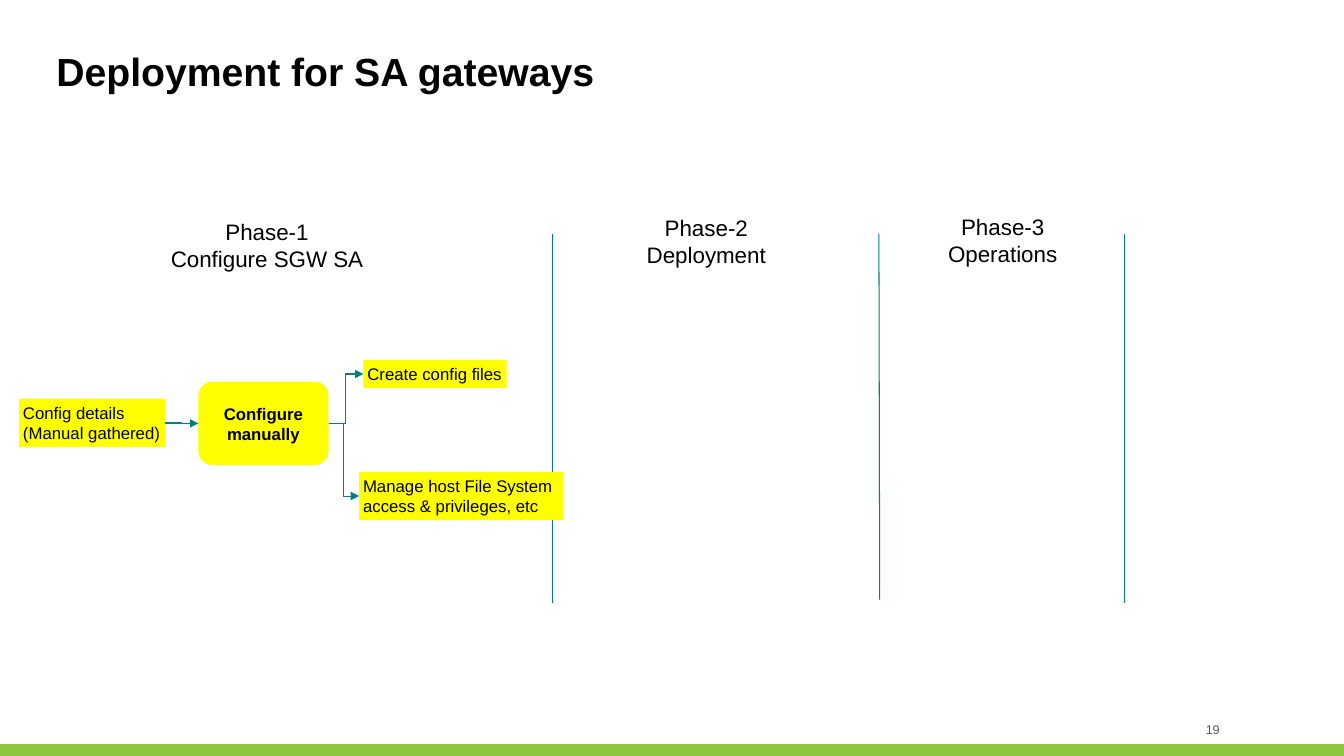
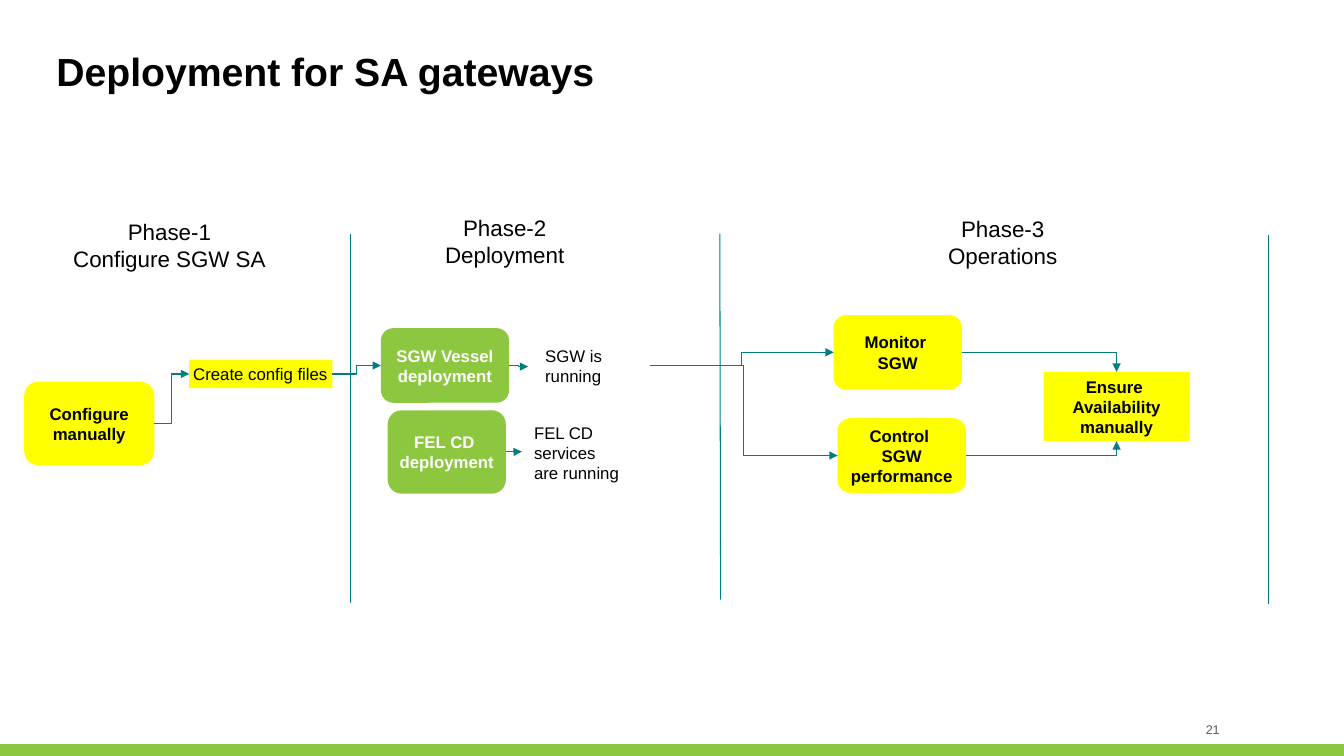
from lxml import etree
from pptx import Presentation
from pptx import util as u
from pptx.dml.color import RGBColor
from pptx.enum import shapes, text
from pptx.oxml import ns

# Shared look
COLORS = {"black": "000000", "white": "FFFFFF", "grey": "595959",
          "yellow": "FFFF00", "green": "8DC63F", "teal": "007E80"}
FONT = "Arial"
WIDTH, HEIGHT, BAND = 33.87, 19.05, 0.3
TITLE = "Deployment for SA gateways"
PHASES = ["Phase-1\nConfigure SGW SA", "Phase-2\nDeployment", "Phase-3\nOperations"]
RECT, ROUND = shapes.MSO_SHAPE.RECTANGLE, shapes.MSO_SHAPE.ROUNDED_RECTANGLE
TOP, LEFT, BOTTOM, RIGHT = range(4)

# Box kinds: outline, fill, text format
STEP_TEXT = dict(bold=True, align="CENTER", anchor="MIDDLE")
KINDS = {
    "step": (ROUND, "yellow", STEP_TEXT),
    "deploy": (ROUND, "green", dict(STEP_TEXT, color="white")),
    "result": (RECT, "yellow", STEP_TEXT),
    "note": (RECT, "yellow", dict(wrap=False)),
    "status": (RECT, None, {}),
}

# Content, lengths in cm
# phases: centre, top; dividers: top x, top y, bottom x, bottom y
# boxes: kind, text, left, top, width, height
# links: (box, side) to (box, side) or to a point
SLIDES = [
    {
        "number": "19",
        "phases": [(6.73, 5.4), (17.8, 5.3), (25.27, 5.28)],
        "dividers": [(13.92, 5.89, 13.92, 15.19), (22.15, 5.89, 22.17, 15.11),
                     (28.35, 5.89, 28.35, 15.19)],
        "boxes": {
            "configure": ("step", "Configure\nmanually", 5, 9.62, 3.28, 2.1),
            "files": ("note", "Create config files", 9.16, 9.07, 3.61, 0.71),
            "details": ("note", "Config details\n(Manual gathered)", 0.48, 10.05, 3.68, 1.22),
            "host": ("note", "Manage host File System\naccess & privileges, etc",
                     9.05, 11.89, 5.14, 1.22),
        },
        "links": [
            (("details", RIGHT), ("configure", LEFT)),
            (("configure", RIGHT), ("files", LEFT)),
            (("configure", RIGHT), ("host", LEFT)),
        ],
    },
    {
        "number": "21",
        "phases": [(4.27, 5.4), (12.72, 5.3), (25.27, 5.33)],
        "dividers": [(8.84, 5.89, 8.84, 15.19), (18.14, 5.89, 18.16, 15.11),
                     (31.97, 5.93, 31.97, 15.23)],
        "boxes": {
            "configure": ("step", "Configure\nmanually", 0.61, 9.62, 3.28, 2.1),
            "files": ("note", "Create config files", 4.77, 9.07, 3.61, 0.71),
            "gateway": ("deploy", "SGW Vessel\ndeployment", 9.6, 8.27, 3.23, 1.88),
            "delivery": ("deploy", "FEL CD \ndeployment", 9.77, 10.34, 2.98, 2.1),
            "running": ("status", "SGW is running", 13.64, 8.6, 2.73, 1.22),
            "services": ("status", "FEL CD services\nare running", 13.36, 10.55, 3.28, 1.22),
            "monitor": ("step", "Monitor \nSGW", 21.01, 7.94, 3.23, 1.88),
            "control": ("step", "Control \nSGW performance", 21.11, 10.54, 3.23, 1.88),
            "ensure": ("result", "Ensure \nAvailability\nmanually", 26.3, 9.37, 3.68, 1.75),
        },
        "links": [
            (("configure", RIGHT), ("files", LEFT)),
            (("files", RIGHT), ("gateway", LEFT)),
            (("gateway", RIGHT), (13.31, 9.24)),
            (("delivery", RIGHT), (13.15, 11.38)),
            (("running", RIGHT), ("monitor", LEFT)),
            (("running", RIGHT), ("control", LEFT)),
            (("monitor", RIGHT), ("ensure", TOP)),
            (("control", RIGHT), ("ensure", BOTTOM)),
        ],
    },
]


def rgb(name):
    return RGBColor.from_string(COLORS[name])


def write(box, words, *, size=12, color="black", bold=False, align="LEFT",
          anchor="TOP", inset=0.1, wrap=True, spacing=None):
    """Fill a shape with one paragraph per line of words."""
    frame = box.text_frame
    frame.word_wrap = wrap
    frame.auto_size = text.MSO_AUTO_SIZE.NONE
    frame.vertical_anchor = text.MSO_ANCHOR[anchor]
    frame.margin_left = frame.margin_right = u.Cm(inset)
    frame.margin_top = frame.margin_bottom = u.Cm(inset)
    for index, line in enumerate(words.split("\n")):
        para = frame.paragraphs[0] if index == 0 else frame.add_paragraph()
        para.alignment = text.PP_ALIGN[align]
        para.line_spacing = spacing
        span = para.add_run()
        span.text = line
        span.font.name, span.font.size = FONT, u.Pt(size)
        span.font.bold, span.font.color.rgb = bold, rgb(color)


def add_box(page, outline, fill, *place):
    box = page.shapes.add_shape(outline, *map(u.Cm, place))
    box.shadow.inherit = False
    box.line.fill.background()
    box.fill.solid()
    box.fill.fore_color.rgb = rgb(fill)
    return box


def add_text(page, words, *place, **style):
    write(page.shapes.add_textbox(*map(u.Cm, place)), words, **style)


def add_line(page, kind, *ends):
    line = page.shapes.add_connector(kind, *map(u.Cm, ends))
    line.line.color.rgb = rgb("teal")
    line.line.width = u.Pt(0.75)
    etree.SubElement(line._element.spPr, ns.qn("a:effectLst"))
    return line


def add_link(page, boxes, start, end):
    """Join two boxes, or a box and a point, with an elbow arrow."""
    glued = end[0] in boxes
    link = add_line(page, shapes.MSO_CONNECTOR.ELBOW, 0, 0, *((0, 0) if glued else end))
    link.begin_connect(boxes[start[0]], start[1])
    if glued:
        link.end_connect(boxes[end[0]], end[1])
    properties = link._element.spPr
    if glued and end[1] in (TOP, BOTTOM):  # a single bend
        properties.find(ns.qn("a:prstGeom")).set("prst", "bentConnector2")
    etree.SubElement(properties.find(ns.qn("a:ln")), ns.qn("a:tailEnd"), type="triangle")


def start_page(deck, number):
    """Add a slide with the band, title and number that all slides share."""
    page = deck.slides.add_slide(deck.slide_layouts[5])
    add_box(page, RECT, "green", 0, HEIGHT - BAND, WIDTH, BAND)
    title = page.shapes.title
    title.left, title.top, title.width, title.height = map(u.Cm, (1.42, 1.42, 30.96, 2.9))
    write(title, TITLE, size=28, bold=True, inset=0, spacing=0.8)
    add_text(page, number, 29.01, 18.12, 1.73, 0.51, size=9, color="grey",
             align="RIGHT", anchor="MIDDLE", inset=0)
    return page


def build(deck, content):
    page = start_page(deck, content["number"])
    for ends in content["dividers"]:
        add_line(page, shapes.MSO_CONNECTOR.STRAIGHT, *ends)
    phase_width = 5.24
    for words, (centre, top) in zip(PHASES, content["phases"]):
        add_text(page, words, centre - phase_width / 2, top, phase_width, 1.57,
                 size=16, align="CENTER")

    boxes = {}
    for name, (kind, words, *place) in content["boxes"].items():
        outline, fill, style = KINDS[kind]
        if fill:
            boxes[name] = add_box(page, outline, fill, *place)
        else:
            boxes[name] = page.shapes.add_textbox(*map(u.Cm, place))
        write(boxes[name], words, **style)
    for start, end in content["links"]:
        add_link(page, boxes, start, end)


def main():
    deck = Presentation()
    deck.slide_width, deck.slide_height = u.Cm(WIDTH), u.Cm(HEIGHT)
    for content in SLIDES:
        build(deck, content)
    deck.save("out.pptx")


if __name__ == "__main__":
    main()
